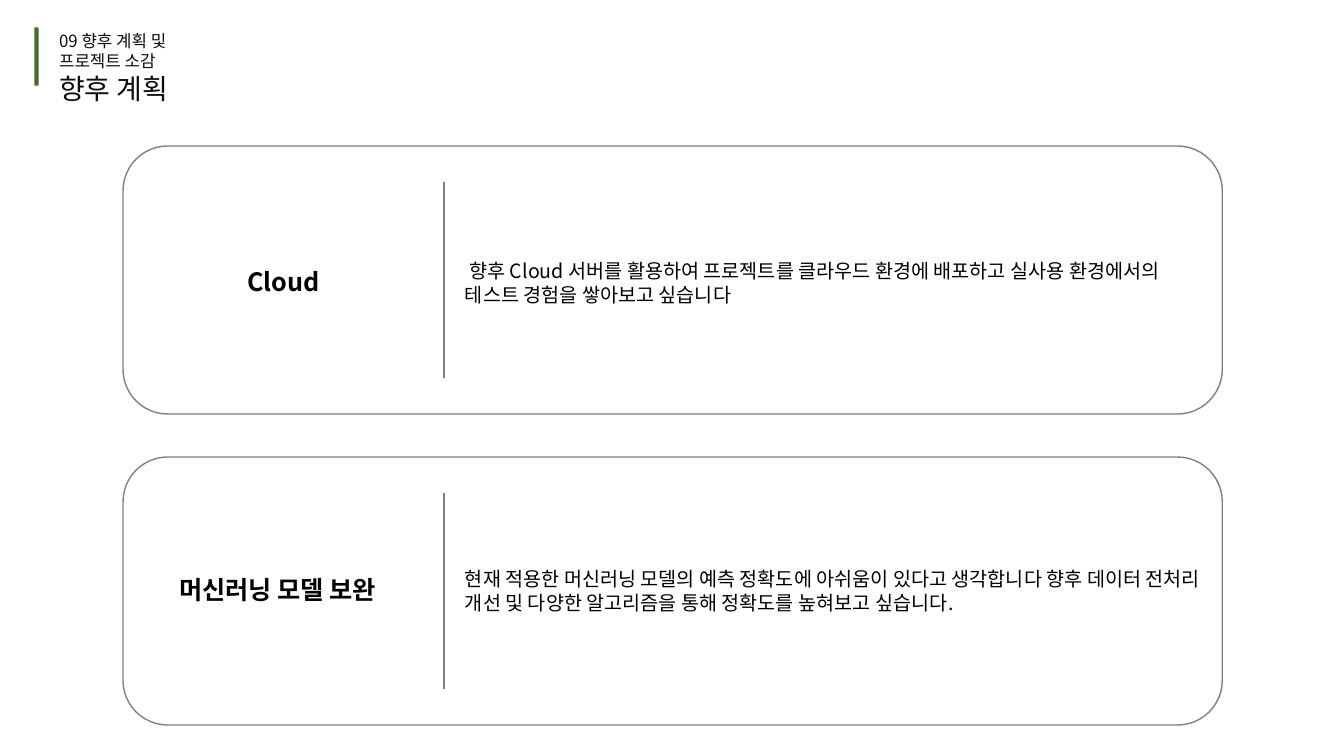
from lxml.etree import SubElement
from pptx import Presentation
from pptx.dml.color import RGBColor
from pptx.enum.shapes import MSO_CONNECTOR as Connector, MSO_SHAPE as Shape
from pptx.enum.text import MSO_ANCHOR as Anchor, MSO_AUTO_SIZE as AutoSize, PP_ALIGN as Align
from pptx.oxml.ns import qn
from pptx.util import Inches, Pt

EMU_PER_PX = Inches(1) / 100.8


def px(*lengths):
    return [round(length * EMU_PER_PX) for length in lengths]


def color(hex_string):
    return RGBColor.from_string(hex_string)


class PlanSlide:
    font_name = "Noto Sans CJK KR"
    ink = "000000"
    title_ink = "0D0D0D"
    gray = "808080"
    white = "FFFFFF"
    green = "456E2A"

    def __init__(self, presentation):
        self.slide = presentation.slides.add_slide(presentation.slide_layouts[5])
        self.shapes = self.slide.shapes

    def style(self, font, size, ink, bold=False):
        font.name = self.font_name
        font.size = Pt(size)
        font.bold = bold
        font.color.rgb = color(ink)
        SubElement(font._element, qn("a:ea"), typeface=self.font_name)

    def title(self, box, section, heading):
        shape = self.shapes.title
        shape.left, shape.top, shape.width, shape.height = px(*box)
        frame = shape.text_frame
        frame.word_wrap = True
        frame.auto_size = AutoSize.NONE
        frame.vertical_anchor = Anchor.TOP
        frame.margin_right = px(66)[0]
        paragraph = frame.paragraphs[0]
        paragraph.alignment = Align.LEFT
        for text, size in ((section, 12), (heading, 20)):
            if paragraph.runs:
                paragraph.add_line_break()
            run = paragraph.add_run()
            run.text = text
            self.style(run.font, size, self.title_ink)

    def rounded(self, box, fill, line, weight):
        shape = self.shapes.add_shape(Shape.ROUNDED_RECTANGLE, *px(*box))
        shape.shadow.inherit = False
        shape.fill.solid()
        shape.fill.fore_color.rgb = color(fill)
        shape.line.color.rgb = color(line)
        shape.line.width = Pt(weight)

    def divider(self, x, top, bottom):
        line = self.shapes.add_connector(Connector.STRAIGHT, *px(x, top, x, bottom))
        line.line.color.rgb = color(self.gray)
        line.line.width = Pt(1)
        SubElement(line._element.spPr, qn("a:effectLst"))

    def text(self, box, text, size, bold=False, align=Align.LEFT):
        frame = self.shapes.add_textbox(*px(*box)).text_frame
        frame.word_wrap = True
        paragraph = frame.paragraphs[0]
        paragraph.text = text
        paragraph.alignment = align
        self.style(paragraph.font, size, self.ink, bold)

    def card(self, top, label_left, text_top, label, description):
        self.rounded((123, top, 1099, 268), self.white, self.gray, 1)
        self.divider(444, top + 36, top + 232)
        self.text((label_left, text_top + 7, 267, 40), label, 18, True, Align.CENTER)
        self.text((455, text_top, 756, 57), description, 14)


def main():
    presentation = Presentation()
    presentation.slide_width = Inches(13.33)
    presentation.slide_height = Inches(7.5)

    plan = PlanSlide(presentation)
    plan.rounded((33, 26, 7, 61), plan.green, plan.white, 2)
    plan.title((49, 26, 197, 65), "09 향후 계획 및 프로젝트 소감", "향후 계획")
    plan.card(146, 150, 254, "Cloud",
              " 향후 Cloud 서버를 활용하여 프로젝트를 클라우드 환경에 배포하고 "
              "실사용 환경에서의 테스트 경험을 쌓아보고 싶습니다")
    plan.card(457, 144, 562, "머신러닝 모델 보완",
              "현재 적용한 머신러닝 모델의 예측 정확도에 아쉬움이 있다고 생각합니다 "
              "향후 데이터 전처리 개선 및 다양한 알고리즘을 통해 정확도를 높혀보고 싶습니다.")
    presentation.save("out.pptx")


if __name__ == "__main__":
    main()
